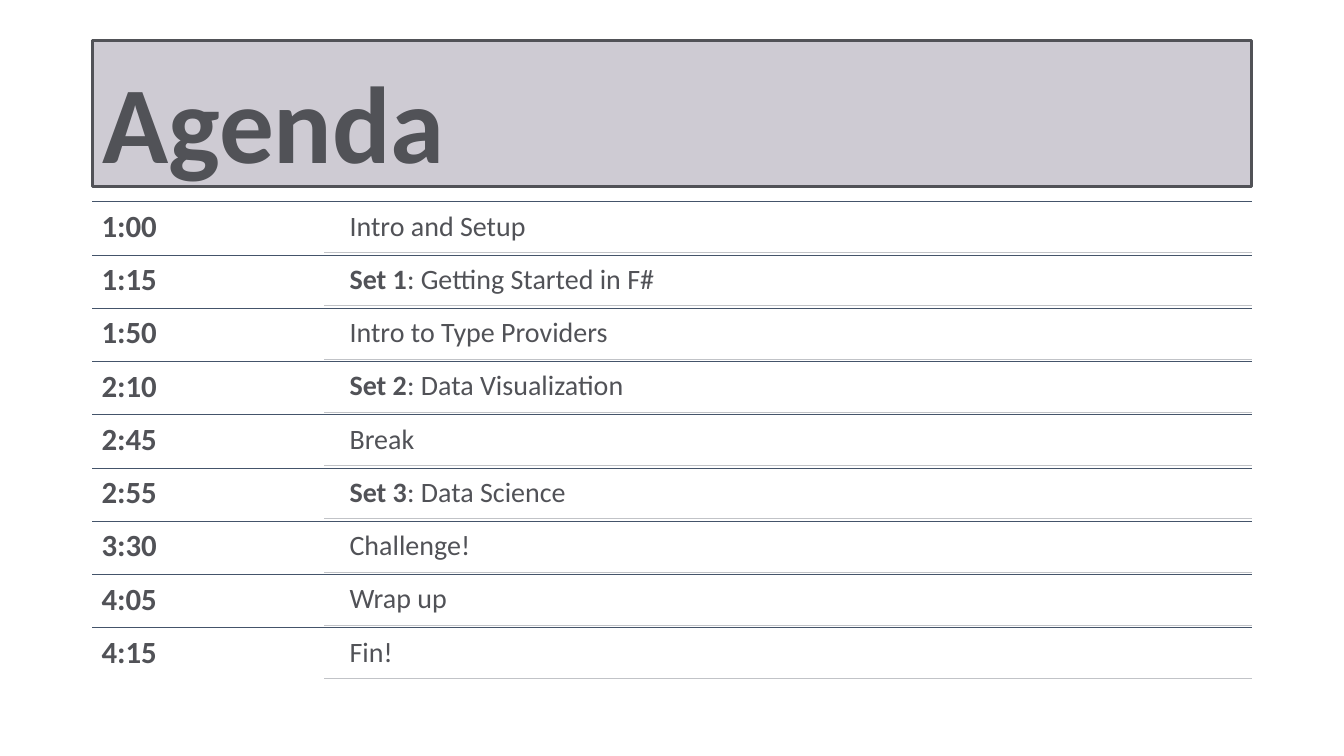
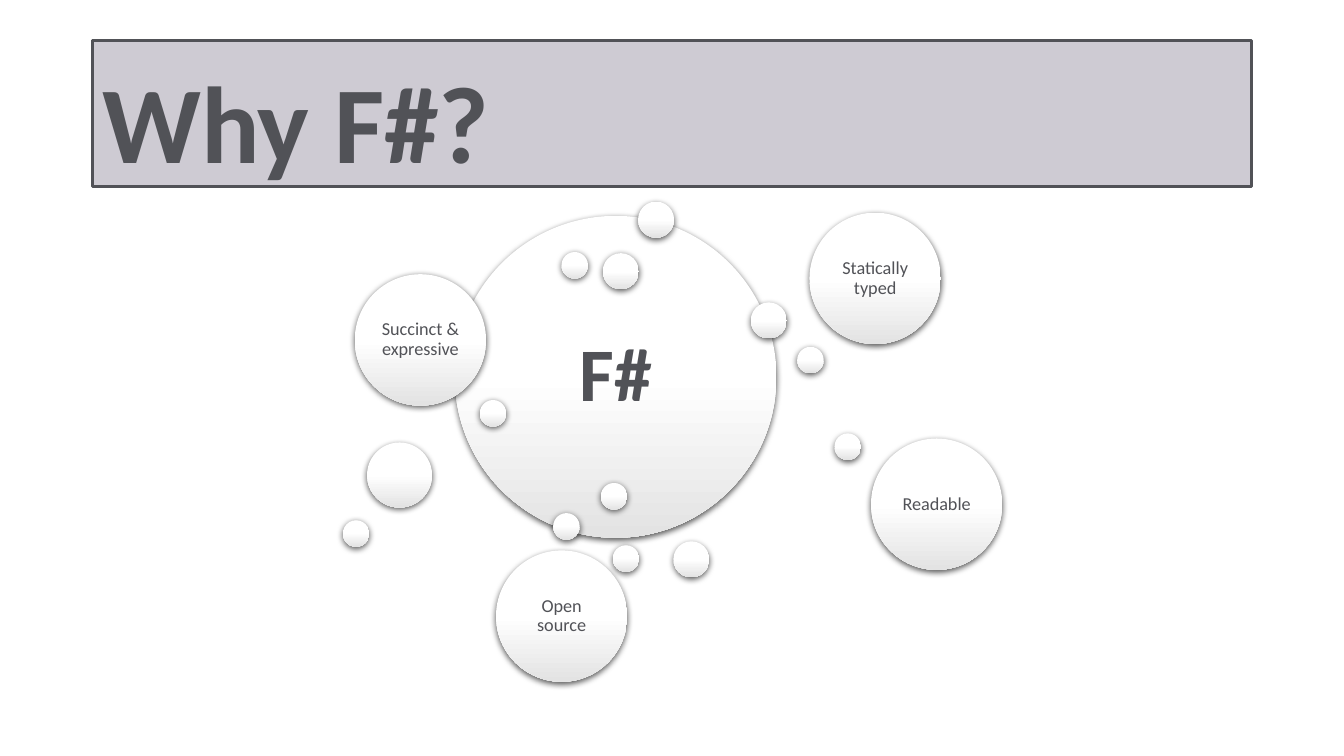
from lxml import etree
from pptx import Presentation
from pptx import util as u
from pptx.dml.color import RGBColor
from pptx.enum import shapes, text
from pptx.oxml import ns

INK = RGBColor(0x51, 0x52, 0x57)
BAND = RGBColor(0xB5, 0xB0, 0xBC)
RULE = RGBColor(0x44, 0x54, 0x6A)
LIGHT_RULE = RGBColor(0xC1, 0xC3, 0xC7)
WHITE = RGBColor(0xFF, 0xFF, 0xFF)
SHADE = RGBColor(0xE3, 0xE3, 0xE3)

LEFT, WIDTH = 2.33, 29.21
RIGHT = LEFT + WIDTH


def write(frame, runs, size, margins, align=text.PP_ALIGN.LEFT,
          anchor=text.MSO_ANCHOR.TOP, spacing=0.9):
    """Fill a text frame with (words, bold) runs; margins run left, top, right, bottom."""
    frame_format = {"word_wrap": True, "auto_size": text.MSO_AUTO_SIZE.NONE,
                    "vertical_anchor": anchor}
    for side, margin in zip(("left", "top", "right", "bottom"), margins):
        frame_format["margin_" + side] = u.Cm(margin)
    for name, value in frame_format.items():
        setattr(frame, name, value)
    paragraph = frame.paragraphs[0]
    paragraph.alignment = align
    paragraph.line_spacing = spacing
    for words, bold in runs:
        run = paragraph.add_run()
        run.text = words
        for name, value in {"name": "Calibri", "size": u.Pt(size), "bold": bold}.items():
            setattr(run.font, name, value)
        run.font.color.rgb = INK


def add_titled_slide(heading):
    """Add a slide whose title sits in the shared outlined band."""
    slide = presentation.slides.add_slide(presentation.slide_layouts[5])
    title = slide.shapes.title
    place = {"left": LEFT, "top": 1.01, "width": WIDTH, "height": 3.69}
    for name, value in place.items():
        setattr(title, name, u.Cm(value))
    title.fill.solid()
    title.fill.fore_color.rgb = BAND
    color = title.fill._xPr.find(".//" + ns.qn("a:srgbClr"))
    etree.SubElement(color, ns.qn("a:alpha"), val="65000")
    title.line.color.rgb = INK
    title.line.width = u.Pt(2.25)
    write(title.text_frame, [(heading, True)], 78, (0.25, 0.33, 0.25, 0),
          anchor=text.MSO_ANCHOR.MIDDLE, spacing=1.0)
    return slide


presentation = Presentation()
presentation.slide_width = u.Cm(33.87)
presentation.slide_height = u.Cm(19.05)

# Agenda: one ruled row per session
slide = add_titled_slide("Agenda")
AGENDA_TOP = 5.08
ROW_HEIGHT = 12.08 / 9
TIME_WIDTH = 5.84
TOPIC_LEFT = 8.61
agenda = [
    ("1:00", [("Intro and Setup", False)]),
    ("1:15", [("Set 1", True), (": Getting Started in F#", False)]),
    ("1:50", [("Intro to Type Providers", False)]),
    ("2:10", [("Set 2", True), (": Data Visualization", False)]),
    ("2:45", [("Break", False)]),
    ("2:55", [("Set 3", True), (": Data Science", False)]),
    ("3:30", [("Challenge!", False)]),
    ("4:05", [("Wrap up", False)]),
    ("4:15", [("Fin!", False)]),
]
for index, (time, topic) in enumerate(agenda):
    top = AGENDA_TOP + index * ROW_HEIGHT

    # Full rule above the row, light rule under the topic
    for start, height, color in ((LEFT, top, RULE),
                                 (LEFT + TIME_WIDTH, top + 1.28, LIGHT_RULE)):
        rule = slide.shapes.add_connector(
            shapes.MSO_CONNECTOR.STRAIGHT,
            u.Cm(start), u.Cm(height), u.Cm(RIGHT), u.Cm(height))
        rule.line.color.rgb = color
        rule.line.width = u.Pt(0.5)
        etree.SubElement(rule._element.spPr, ns.qn("a:effectLst"))

    # Time and topic
    time_box = slide.shapes.add_textbox(
        u.Cm(LEFT), u.Cm(top), u.Cm(TIME_WIDTH), u.Cm(ROW_HEIGHT))
    write(time_box.text_frame, [(time, True)], 22, [0.23] * 4)
    topic_box = slide.shapes.add_textbox(
        u.Cm(TOPIC_LEFT), u.Cm(top + 0.06), u.Cm(RIGHT - TOPIC_LEFT), u.Cm(1.22))
    write(topic_box.text_frame, topic, 20, [0.2] * 4)

# Why F#: labelled circles among small bubbles
slide = add_titled_slide("Why F#?")
HUB, LABELLED, MEDIUM, SMALL, TINY = 8.11, 3.31, 1.64, 0.91, 0.67
circles = [
    (11.46, 5.44, HUB, "F#"),
    (16.08, 5.08, SMALL, ""),
    (13.94, 12.93, TINY, ""),
    (20.09, 8.74, TINY, ""),
    (16.97, 13.64, SMALL, ""),
    (14.15, 6.35, TINY, ""),
    (12.09, 10.08, TINY, ""),
    (8.94, 6.91, LABELLED, "Succinct & expressive"),
    (15.19, 6.38, SMALL, ""),
    (9.25, 11.15, MEDIUM, ""),
    (20.4, 5.36, LABELLED, "Statically typed"),
    (18.92, 7.62, SMALL, ""),
    (8.64, 13.11, TINY, ""),
    (15.14, 12.17, TINY, ""),
    (21.95, 11.05, LABELLED, "Readable"),
    (21.03, 10.92, TINY, ""),
    (12.5, 13.87, LABELLED, "Open source"),
    (15.44, 13.74, TINY, ""),
]
for left, top, diameter, label in circles:
    circle = slide.shapes.add_shape(
        shapes.MSO_SHAPE.OVAL, u.Cm(left), u.Cm(top), u.Cm(diameter), u.Cm(diameter))
    circle.line.fill.background()

    # White upper half fading to grey at the foot
    circle.fill.gradient()
    circle.fill.gradient_angle = 270
    for stop, position, color in zip(circle.fill.gradient_stops, (0.5, 1), (WHITE, SHADE)):
        stop.position = position
        stop.color.rgb = color

    # Soft shadow straight below
    circle.shadow.inherit = False
    effects = circle._element.spPr.find(ns.qn("a:effectLst"))
    shadow = etree.SubElement(
        effects, ns.qn("a:outerShdw"), blurRad=str(u.Pt(4.5)), dist=str(u.Pt(1.5)),
        dir="5400000", algn="ctr", rotWithShape="0")
    black = etree.SubElement(shadow, ns.qn("a:srgbClr"), val="000000")
    etree.SubElement(black, ns.qn("a:alpha"), val="63000")

    if label:
        is_hub = diameter == HUB
        write(circle.text_frame, [(label, is_hub)], 54 if is_hub else 13,
              [0.58 if is_hub else 0.13] * 4,
              text.PP_ALIGN.CENTER, text.MSO_ANCHOR.MIDDLE)

presentation.save("out.pptx")
